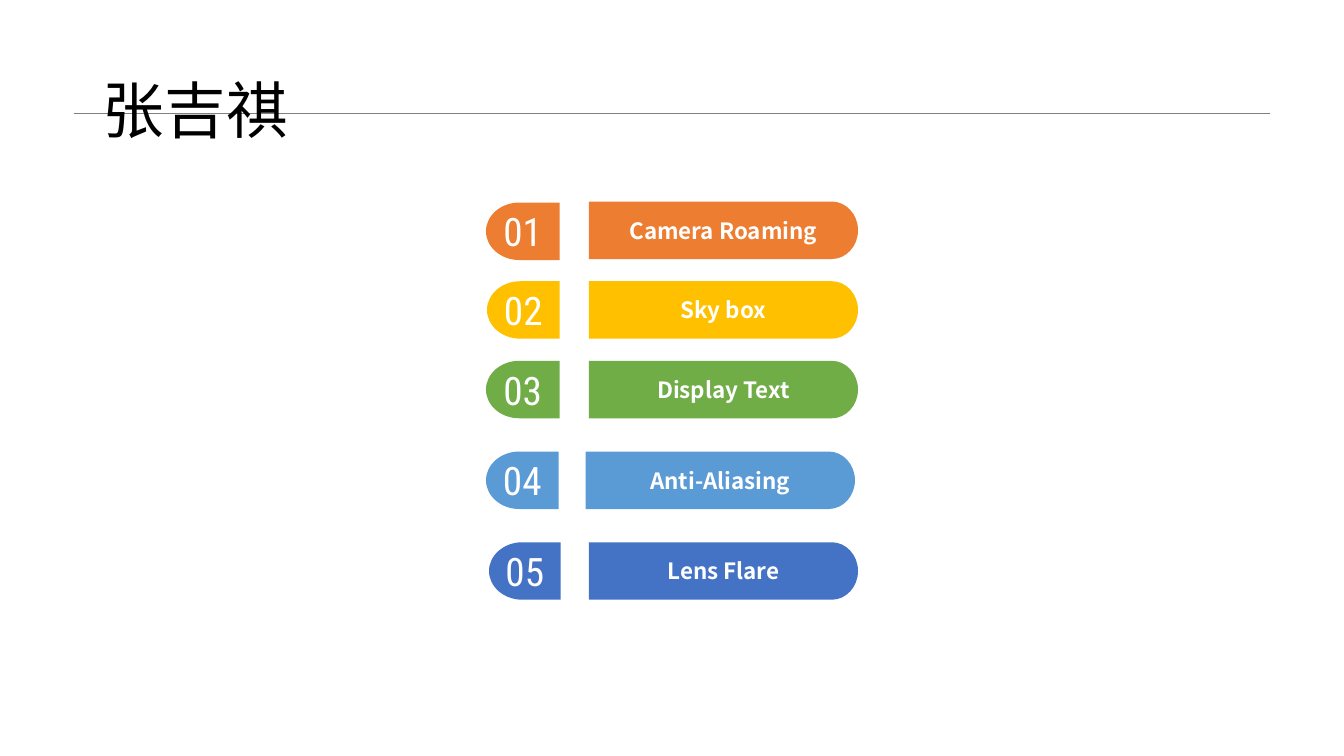
"""Build a title slide with five numbered, coloured topics."""
import lxml.etree
import pptx
import pptx.dml.color
import pptx.enum.shapes
import pptx.enum.text
import pptx.oxml.ns
import pptx.util

PX = 9144
BAR_HEIGHT = 57
CURVE = 0.55
TOPICS = [
    ("Camera Roaming", "ED7D31", 482, 73, 201, 584, 200),
    ("Sky box", "FFC000", 483, 72, 279, 584, 279),
    ("Display Text", "70AD47", 482, 73, 358, 584, 358),
    ("Anti-Aliasing", "5B9BD5", 482, 72, 448, 581, 448),
    ("Lens Flare", "4472C4", 485, 71, 538, 584, 538),
]


def color(value):
    return pptx.dml.color.RGBColor.from_string(value)


def add_element(parent, tag, **attributes):
    return lxml.etree.SubElement(parent, pptx.oxml.ns.qn(tag), **attributes)


def write(shape, text, size, font, fill="FFFFFF", bold=False, align="CENTER", spacing=1.0, wrap=False):
    frame = shape.text_frame
    frame.auto_size = pptx.enum.text.MSO_AUTO_SIZE.NONE
    frame.word_wrap = wrap
    frame.vertical_anchor = pptx.enum.text.MSO_ANCHOR.MIDDLE
    paragraph = frame.paragraphs[0]
    paragraph.alignment = pptx.enum.text.PP_ALIGN[align]
    paragraph.line_spacing = spacing
    run = paragraph.add_run()
    run.text = text
    run.font.size = pptx.util.Pt(size)
    run.font.bold = bold
    run.font.color.rgb = color(fill)
    run.font.name = font
    add_element(run._r.get_or_add_rPr(), "a:ea", typeface=font)


def bend(line, controls):
    curve = lxml.etree.Element(pptx.oxml.ns.qn("a:cubicBezTo"))
    for x, y in controls:
        add_element(curve, "a:pt", x=str(round(x * PX)), y=str(round(y * PX)))
    curve.append(line[0])
    line.getparent().replace(line, curve)


class TopicSlide:
    text_font = "Noto Sans CJK SC"
    number_font = "Roboto Condensed"

    def __init__(self, presentation):
        self.slide = presentation.slides.add_slide(presentation.slide_layouts[5])

    def title(self, text, left, top, width, height):
        title = self.slide.shapes.title
        title.left, title.top, title.width, title.height = (
            value * PX for value in (left, top, width, height))
        write(title, text, 44, self.text_font, fill="000000", align="LEFT", spacing=0.9, wrap=True)

    def rule(self, left, right, y):
        line = self.slide.shapes.add_connector(
            pptx.enum.shapes.MSO_CONNECTOR.STRAIGHT, left * PX, y * PX, right * PX, y * PX)
        line.line.color.rgb = color("808080")
        line.line.width = pptx.util.Pt(0.25)
        add_element(line.element.spPr, "a:effectLst")
        self.slide.shapes.title.element.addprevious(line.element)

    def half_pill(self, flat_x, tip_x, top, radius, fill):
        left = min(flat_x, tip_x)
        flat, tip = flat_x - left, tip_x - left
        joint = tip - radius if tip > flat else tip + radius
        half = BAR_HEIGHT / 2
        outline = [(joint, 0), (tip, half), (joint, BAR_HEIGHT), (flat, BAR_HEIGHT)]
        builder = self.slide.shapes.build_freeform(flat * PX, 0)
        builder.add_line_segments([(x * PX, y * PX) for x, y in outline], close=True)
        shape = builder.convert_to_shape(left * PX, top * PX)
        upper, lower = shape.element.findall(".//" + pptx.oxml.ns.qn("a:lnTo"))[1:3]
        control_x = joint + CURVE * (tip - joint)
        bend(upper, [(control_x, 0), (tip, half * (1 - CURVE))])
        bend(lower, [(tip, half * (1 + CURVE)), (control_x, BAR_HEIGHT)])
        shape.shadow.inherit = False
        shape.fill.solid()
        shape.fill.fore_color.rgb = color(fill)
        shape.line.fill.background()
        return shape

    def topic(self, number, label, fill, number_left, number_width, number_top, label_left, label_top):
        badge = self.half_pill(number_left + number_width, number_left, number_top, 33, fill)
        write(badge, f"{number:02d}", 28, self.number_font)
        bar = self.half_pill(label_left, label_left + 267, label_top, 26, fill)
        write(bar, label, 16, self.text_font, bold=True)


def main():
    presentation = pptx.Presentation()
    presentation.slide_width = pptx.util.Inches(13.33)
    presentation.slide_height = pptx.util.Inches(7.5)
    page = TopicSlide(presentation)
    page.title("张吉祺", 92, 40, 1150, 145)
    page.rule(73, 1260, 112)
    for number, topic in enumerate(TOPICS, start=1):
        page.topic(number, *topic)
    presentation.save("out.pptx")


if __name__ == "__main__":
    main()
